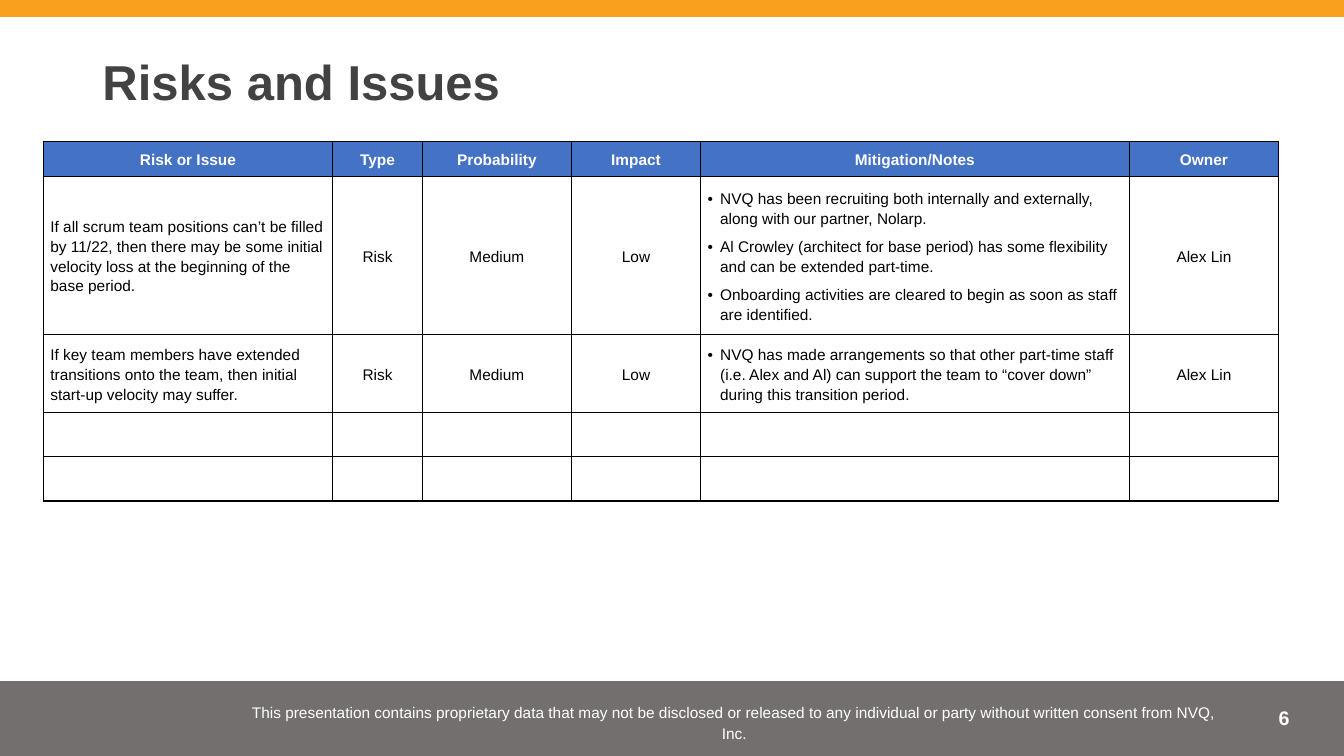
import dataclasses

import pptx
import pptx.dml.color
import pptx.enum.shapes
import pptx.enum.text
import pptx.oxml
import pptx.oxml.ns
import pptx.util

Pt = pptx.util.Pt
ALIGN = pptx.enum.text.PP_ALIGN
ANCHOR = pptx.enum.text.MSO_ANCHOR
NS = pptx.oxml.ns.nsdecls("a")


@dataclasses.dataclass(frozen=True)
class Theme:
    font: str = "Arial"
    accent: str = "F9A01E"
    footer: str = "4F4949"
    footer_alpha: int = 79
    title: str = "424242"
    header: str = "4472C4"
    text: str = "000000"
    light: str = "FFFFFF"
    title_size: float = 35
    number_size: float = 14
    body_size: float = 11


THEME = Theme()

COLUMNS = [
    ("Risk or Issue", 206.64),
    ("Type", 64.08),
    ("Probability", 106.56),
    ("Impact", 92.16),
    ("Mitigation/Notes", 306.36),
    ("Owner", 106.56),
]
ROW_HEIGHTS = [24.5, 106, 52, 30, 27.2]
ISSUE_COLUMN, NOTES_COLUMN = 0, 4
RISKS = [
    ["If all scrum team positions can’t be filled by 11/22, then there may be some initial "
     "velocity loss at the beginning of the base period.",
     "Risk", "Medium", "Low",
     ["NVQ has been recruiting both internally and externally, along with our partner, Nolarp.",
      "Al Crowley (architect for base period) has some flexibility and can be extended part-time.",
      "Onboarding activities are cleared to begin as soon as staff are identified."],
     "Alex Lin"],
    ["If key team members have extended transitions onto the team, then initial start-up "
     "velocity may suffer.",
     "Risk", "Medium", "Low",
     ["NVQ has made arrangements so that other part-time staff (i.e. Alex and Al) can support "
      "the team to “cover down” during this transition period."],
     "Alex Lin"],
]
FOOTER = ("This presentation contains proprietary data that may not be disclosed or released to "
          "any individual or party without written consent from NVQ, Inc.")


def rgb(value):
    return pptx.dml.color.RGBColor.from_string(value)


def write(tf, text, *, size=THEME.body_size, color=THEME.text, bold=False,
          align=ALIGN.LEFT, spacing=1.15, bullet=False):
    """Fill a text frame with one paragraph, or one for each item of a list."""
    for i, line in enumerate([text] if isinstance(text, str) else text):
        p = tf.add_paragraph() if i else tf.paragraphs[0]
        p.alignment = align
        p.line_spacing = spacing
        if bullet:
            p.space_after = Pt(6)
            add_bullet(p)
        r = p.add_run()
        r.text = line
        r.font.name = THEME.font
        r.font.size = Pt(size)
        r.font.bold = bold
        r.font.color.rgb = rgb(color)


def add_bullet(p):
    pPr = p._p.get_or_add_pPr()
    pPr.set("marL", str(Pt(9)))
    pPr.set("indent", str(Pt(-9)))
    for xml in (
        f'<a:buClr {NS}><a:srgbClr val="{THEME.text}"/></a:buClr>',
        f'<a:buFont {NS} typeface="{THEME.font}"/>',
        f'<a:buChar {NS} char="•"/>',
    ):
        pPr.append(pptx.oxml.parse_xml(xml))


def set_insets(target, horizontal, vertical):
    target.margin_left = target.margin_right = Pt(horizontal)
    target.margin_top = target.margin_bottom = Pt(vertical)


def place(sp, left, top, width, height):
    sp.left, sp.top, sp.width, sp.height = Pt(left), Pt(top), Pt(width), Pt(height)


def add_band(s, top, height, color, alpha=100):
    """Add a bar across the full slide width; alpha is opacity in percent."""
    sp = s.shapes.add_shape(pptx.enum.shapes.MSO_SHAPE.RECTANGLE, 0, Pt(top), Pt(960), Pt(height))
    sp.shadow.inherit = False
    sp.line.fill.background()
    sp.fill.solid()
    sp.fill.fore_color.rgb = rgb(color)
    if alpha < 100:
        clr = sp._element.spPr.find(".//" + pptx.oxml.ns.qn("a:srgbClr"))
        clr.append(pptx.oxml.parse_xml(f'<a:alpha {NS} val="{alpha * 1000}"/>'))


def add_text(s, text, box, *, insets=(7.2, 7.2), anchor=ANCHOR.MIDDLE, **style):
    tf = s.shapes.add_textbox(*map(Pt, box)).text_frame
    tf.word_wrap = True
    tf.vertical_anchor = anchor
    set_insets(tf, *insets)
    write(tf, text, **style)


def set_title(s, text):
    sp = s.shapes.title
    place(sp, 66, 33, 828, 55.5)
    tf = sp.text_frame
    tf.auto_size = pptx.enum.text.MSO_AUTO_SIZE.NONE
    tf.vertical_anchor = ANCHOR.MIDDLE
    set_insets(tf, 7.2, 7.2)
    write(tf, text, size=THEME.title_size, color=THEME.title, bold=True, spacing=0.9)


def add_borders(cell):
    tcPr = cell._tc.get_or_add_tcPr()
    for side in "LRTB":
        tcPr.append(pptx.oxml.parse_xml(
            f'<a:ln{side} {NS} w="{Pt(1)}"><a:solidFill><a:srgbClr val="{THEME.text}"/>'
            f'</a:solidFill></a:ln{side}>'))


def fill_cell(cell, text, *, fill=None, **style):
    cell.vertical_anchor = ANCHOR.MIDDLE
    set_insets(cell, 5, 5)
    add_borders(cell)
    if fill:
        cell.fill.solid()
        cell.fill.fore_color.rgb = rgb(fill)
    else:
        cell.fill.background()
    write(cell.text_frame, text, **style)


def add_risk_table(s):
    widths = [width for _, width in COLUMNS]
    table = s.shapes.add_table(len(ROW_HEIGHTS), len(COLUMNS), Pt(31), Pt(101),
                               Pt(sum(widths)), Pt(sum(ROW_HEIGHTS))).table
    table.first_row = table.horz_banding = False
    for column, width in zip(table.columns, widths):
        column.width = Pt(width)
    for row, height in zip(table.rows, ROW_HEIGHTS):
        row.height = Pt(height)
    for c, (heading, _) in enumerate(COLUMNS):
        fill_cell(table.cell(0, c), heading, fill=THEME.header, color=THEME.light,
                  bold=True, align=ALIGN.CENTER)
        for r in range(1, len(ROW_HEIGHTS)):
            text = RISKS[r - 1][c] if r <= len(RISKS) else ""
            left = c in (ISSUE_COLUMN, NOTES_COLUMN)
            fill_cell(table.cell(r, c), text, align=ALIGN.LEFT if left else ALIGN.CENTER,
                      bullet=c == NOTES_COLUMN and bool(text))


def main():
    prs = pptx.Presentation()
    prs.slide_width, prs.slide_height = Pt(960), Pt(540)
    s = prs.slides.add_slide(prs.slide_layouts[5])
    add_band(s, 486.5, 53.5, THEME.footer, THEME.footer_alpha)
    add_band(s, 0, 12.2, THEME.accent)
    add_text(s, "6", (850.3, 501, 77.8, 29), insets=(7.2, 3.6), anchor=ANCHOR.TOP,
             size=THEME.number_size, color=THEME.light, bold=True, align=ALIGN.RIGHT, spacing=1.0)
    add_text(s, FOOTER, (163.4, 496, 722.2, 38.2), color=THEME.light, align=ALIGN.CENTER)
    set_title(s, "Risks and Issues")
    add_risk_table(s)
    prs.save("out.pptx")


if __name__ == "__main__":
    main()
